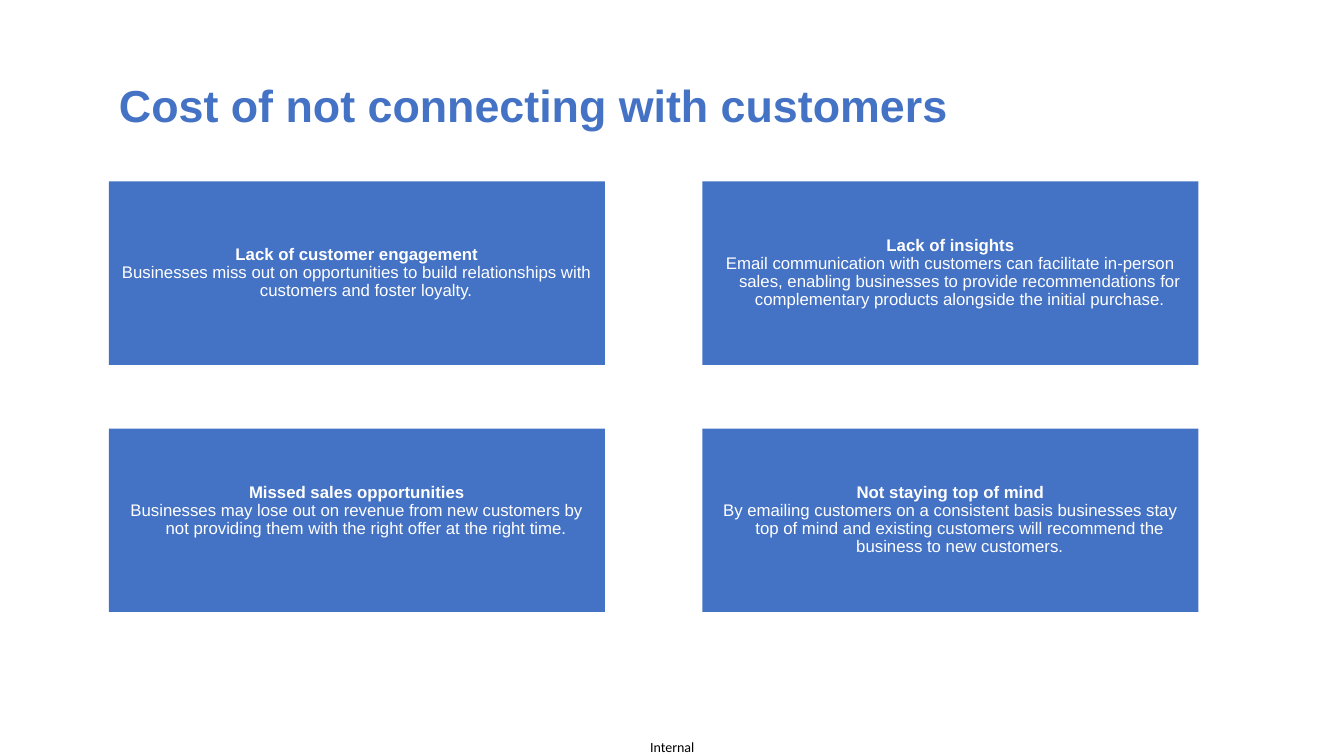
from pptx import Presentation
from pptx.dml.color import RGBColor
from pptx.enum.shapes import MSO_SHAPE as Preset
from pptx.enum.text import MSO_ANCHOR as Anchor, MSO_AUTO_SIZE as AutoSize, PP_ALIGN as Align
from pptx.util import Pt

HEADLINE = "Cost of not connecting with customers"
COSTS = [
    ("Lack of customer engagement",
     "Businesses miss out on opportunities to build relationships with customers and foster loyalty.", 0),
    ("Lack of insights",
     "Email communication with customers can facilitate in-person sales, enabling businesses to provide "
     "recommendations for complementary products alongside the initial purchase.", 0),
    ("Missed sales opportunities",
     "Businesses may lose out on revenue from new customers by not providing them with the right offer "
     "at the right time.", 13),
    ("Not staying top of mind",
     "By emailing customers on a consistent basis businesses stay top of mind and existing customers "
     "will recommend the business to new customers.", 0),
]
CLASSIFICATION = "Internal"
COLORS = {"blue": "4472C4", "white": "FFFFFF", "black": "000000"}

LEFT, TOP = 77.75, 129.6
CARD_WIDTH, CARD_HEIGHT = 354.25, 131
COLUMN_STEP, ROW_STEP = 424, 176.5
INDENT = 13.5


def set_font(paragraph, face, size, color, bold=False):
    font = paragraph.font
    font.name, font.size, font.bold = face, Pt(size), bold
    font.color.rgb = RGBColor.from_string(COLORS[color])


def add_card(slide, position, heading, detail, lift):
    row, column = divmod(position, 2)
    card = slide.shapes.add_shape(
        Preset.RECTANGLE, Pt(LEFT + column * COLUMN_STEP), Pt(TOP + row * ROW_STEP),
        Pt(CARD_WIDTH), Pt(CARD_HEIGHT))
    card.shadow.inherit = False
    card.fill.solid()
    card.fill.fore_color.rgb = RGBColor.from_string(COLORS["blue"])
    card.line.fill.background()
    frame = card.text_frame
    frame.word_wrap = True
    frame.vertical_anchor = Anchor.MIDDLE
    frame.margin_bottom = Pt(3.6 + lift)
    frame.text = f"{heading}\n{detail}"
    for paragraph, bold in zip(frame.paragraphs, (True, False)):
        properties = paragraph._p.get_or_add_pPr()
        properties.set("marL", str(Pt(INDENT)))
        properties.set("indent", str(Pt(-INDENT)))
        paragraph.alignment = Align.CENTER
        paragraph.line_spacing = 0.9
        set_font(paragraph, "Arial", 12, "white", bold)


def main():
    deck = Presentation()
    deck.slide_width, deck.slide_height = Pt(960), Pt(540)
    slide = deck.slides.add_slide(deck.slide_layouts[5])

    title = slide.shapes.title
    title.left, title.top, title.width, title.height = Pt(LEFT), Pt(25.2), Pt(828), Pt(104.4)
    title.text = HEADLINE
    title.text_frame.auto_size = AutoSize.NONE
    title.text_frame.vertical_anchor = Anchor.MIDDLE
    headline = title.text_frame.paragraphs[0]
    headline.alignment = Align.LEFT
    headline.line_spacing = 0.9
    set_font(headline, "Arial", 32, "blue", True)

    for position, cost in enumerate(COSTS):
        add_card(slide, position, *cost)

    label = slide.shapes.add_textbox(Pt(464.4), Pt(527.8), Pt(36.7), Pt(12.2)).text_frame
    label.margin_left = label.margin_top = label.margin_right = label.margin_bottom = 0
    label.text = CLASSIFICATION
    set_font(label.paragraphs[0], "Calibri", 10, "black")

    deck.save("out.pptx")


if __name__ == "__main__":
    main()
